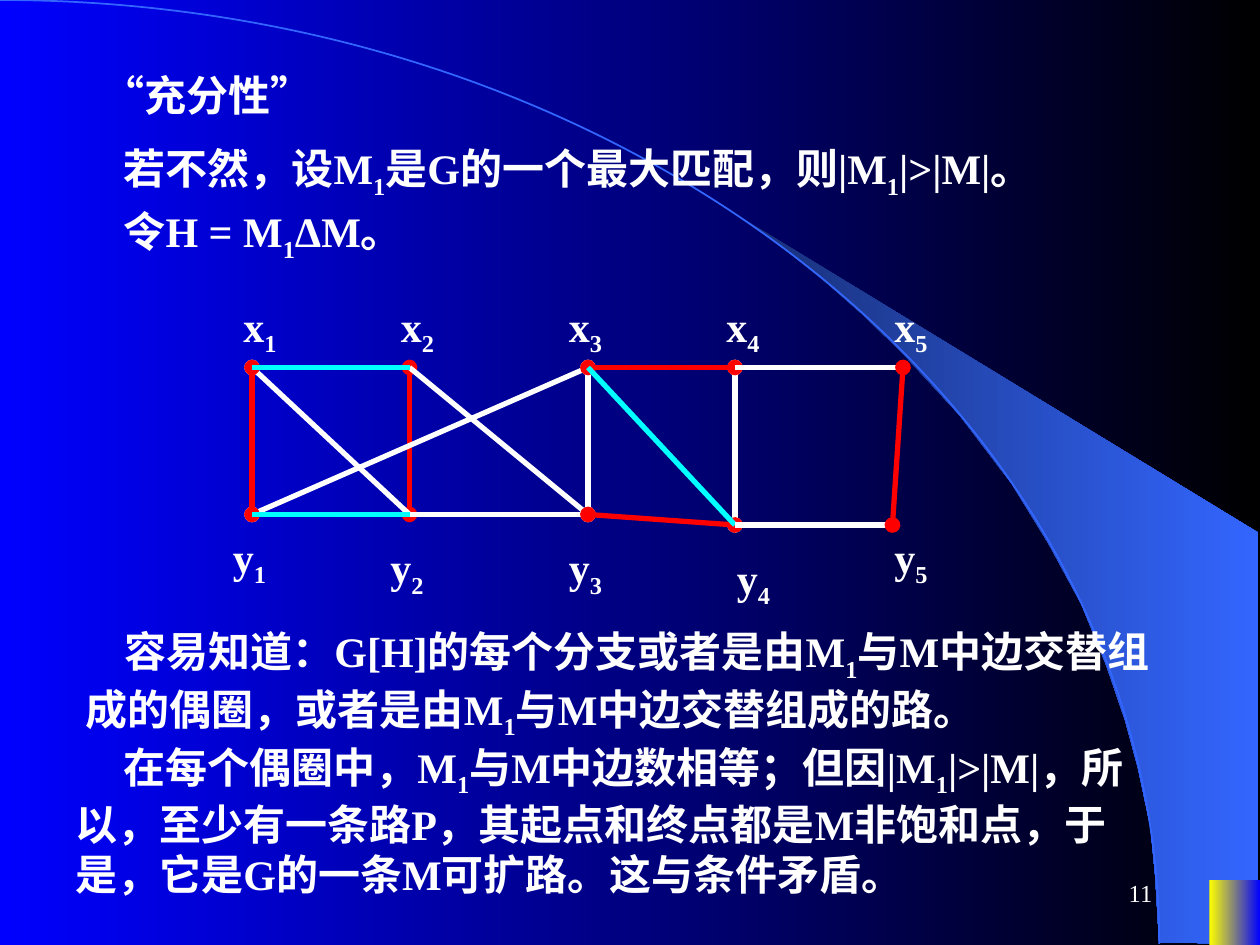
from lxml import etree
from pptx import Presentation
from pptx.dml.color import RGBColor
from pptx.enum.lang import MSO_LANGUAGE_ID
from pptx.enum.shapes import MSO_CONNECTOR, MSO_SHAPE
from pptx.enum.text import MSO_ANCHOR, PP_ALIGN
from pptx.oxml.ns import qn
from pptx.util import Pt

STRAIGHT = MSO_CONNECTOR.STRAIGHT
RECT = MSO_SHAPE.RECTANGLE
MIDDLE, RIGHT = MSO_ANCHOR.MIDDLE, PP_ALIGN.RIGHT
CHINESE = MSO_LANGUAGE_ID.SIMPLIFIED_CHINESE
FONT = "Times New Roman"

WHITE = RGBColor(0xFF, 0xFF, 0xFF)
BLACK = RGBColor(0x00, 0x00, 0x00)
BLUE = RGBColor(0x00, 0x00, 0xFF)
NAVY = RGBColor(0x18, 0x2F, 0x76)
SKY = RGBColor(0x33, 0x66, 0xFF)
YELLOW = RGBColor(0xFF, 0xFF, 0x00)
RED = RGBColor(0xFF, 0x00, 0x00)
CYAN = RGBColor(0x00, 0xFF, 0xFF)


def set_gradient(fill, start, end):
    fill.gradient()
    fill.gradient_angle = 0
    for stop, color in zip(fill.gradient_stops, (start, end)):
        stop.color.rgb = color


def add_text(x, y, w, h, parts, size=24, bold=True, indent=0):
    """Add a one-paragraph box; every second part is a subscript."""
    tf = s.shapes.add_textbox(Pt(x), Pt(y), Pt(w), Pt(h)).text_frame
    tf.word_wrap = True
    p = tf.paragraphs[0]
    if indent:
        p._p.get_or_add_pPr().set("indent", str(Pt(indent)))
    for i, part in enumerate(parts):
        r = p.add_run()
        r.text = part
        r.font.name, r.font.size, r.font.bold = FONT, Pt(size), bold
        r.font.color.rgb = WHITE
        r.font.language_id = CHINESE
        if i % 2:
            r._r.get_or_add_rPr().set("baseline", "-25000")
    return tf


prs = Presentation()
prs.slide_width, prs.slide_height = Pt(720), Pt(540)
s = prs.slides.add_slide(prs.slide_layouts[6])
set_gradient(s.background.fill, BLUE, BLACK)

# Lit wedge below the arc
wedge = [
    (662.4, 538.6), (719.3, 539.3), (719.3, 304.6), (424.1, 124.6),
    (449.3, 143.3), (470.2, 159.8), (493.2, 180), (515.5, 201.6),
    (548.6, 237.6), (578.2, 276.5), (599, 310.3), (617.8, 344.9),
    (632.2, 380.2), (643, 411.8), (650.2, 438.5), (657.4, 472.3),
    (660.2, 501.1),
]
outline = [(Pt(x), Pt(y)) for x, y in wedge]
fb = s.shapes.build_freeform(*outline[0])
fb.add_line_segments(outline[1:], close=True)
sp = fb.convert_to_shape()
sp.shadow.inherit = False
set_gradient(sp.fill, NAVY, SKY)
sp.line.fill.background()

# Arc: the straight segment becomes one Bezier curve
fb = s.shapes.build_freeform(0, 0)
fb.add_line_segments([(Pt(662.4), Pt(539.3))], close=False)
sp = fb.convert_to_shape()
sp.shadow.inherit = False
sp.fill.background()
sp.line.color.rgb = SKY
sp.line.width = Pt(1)
segment = sp._element.spPr.find(".//" + qn("a:lnTo"))
curve = etree.Element(qn("a:cubicBezTo"))
for x, y in [(365.8, 0), (662.4, 241.2), (662.4, 539.3)]:
    etree.SubElement(curve, qn("a:pt"), x=str(Pt(x)), y=str(Pt(y)))
segment.getparent().replace(segment, curve)

# Corner block and slide number
sp = s.shapes.add_shape(RECT, Pt(691), Pt(502.6), Pt(29), Pt(37.4))
sp.shadow.inherit = False
set_gradient(sp.fill, YELLOW, BLUE)
sp.line.fill.background()

tf = add_text(516, 492, 149.6, 36, ["11"], size=14, bold=False)
tf.vertical_anchor = MIDDLE
tf.paragraphs[0].alignment = RIGHT

# Opening of the proof
add_text(24, 36, 594, 36, ["“充分性”"], indent=27.5)
add_text(36, 78, 594, 40,
         ["若不然，设M", "1", "是G的一个最大匹配，则|M", "1", "|>|M|。"],
         indent=27.5)
add_text(36, 114, 594, 40, ["令H = M", "1", "ΔM。"], indent=27.5)

# Graph vertices
vertices = {
    "x1": (144, 210), "x2": (234, 210), "x3": (336, 210),
    "x4": (420, 210), "x5": (516, 210),
    "y1": (144, 294), "y2": (234, 294), "y3": (336, 294),
    "y4": (420, 300), "y5": (510, 300),
}

# Graph edges from back to front: ends, colour, round ends
edges = [
    ("x1", "y1", WHITE, True),
    ("x2", "y2", RED, True), ("x3", "y3", WHITE, True),
    ("x1", "y2", WHITE, False), ("x2", "y3", WHITE, False),
    ("x3", "y1", WHITE, False), ("x1", "y1", RED, True),
    ("x1", "x2", CYAN, False), ("y2", "y3", WHITE, False),
    ("x4", "y4", WHITE, True), ("y3", "y4", RED, True),
    ("y1", "y2", CYAN, False), ("x3", "x4", RED, True),
    ("x3", "y4", CYAN, False), ("y4", "y5", WHITE, False),
    ("x4", "x5", WHITE, False), ("x5", "y5", RED, True),
]
for start, end, color, dotted in edges:
    ends = [Pt(v) for v in vertices[start] + vertices[end]]
    c = s.shapes.add_connector(STRAIGHT, *ends)
    c.line.color.rgb = color
    c.line.width = Pt(3)
    spPr = c._element.spPr
    if dotted:
        for tag in ("a:headEnd", "a:tailEnd"):
            etree.SubElement(spPr.find(qn("a:ln")), qn(tag), type="oval")
    etree.SubElement(spPr, qn("a:effectLst"))

# Vertex labels
label_places = {
    "x": [(132, 168), (222, 168), (318, 168), (408, 168), (504, 168)],
    "y": [(126, 300), (216, 306), (318, 306), (414, 312), (504, 300)],
}
for letter, places in label_places.items():
    for number, (x, y) in enumerate(places, 1):
        add_text(x, y, 42, 40, [letter, str(number)])

# Conclusion of the proof
add_text(42, 354, 624, 73,
         ["容易知道：G[H]的每个分支或者是由M", "1",
          "与M中边交替组成的偶圈，或者是由M", "1",
          "与M中边交替组成的路。"], indent=22)
add_text(36, 420, 618, 98,
         ["在每个偶圈中，M", "1", "与M中边数相等；但因|M", "1",
          "|>|M|，所以，至少有一条路P，其起点和终点都是M非饱和点，"
          "于是，它是G的一条M可扩路。这与条件矛盾。"], indent=27.5)

prs.save("out.pptx")
